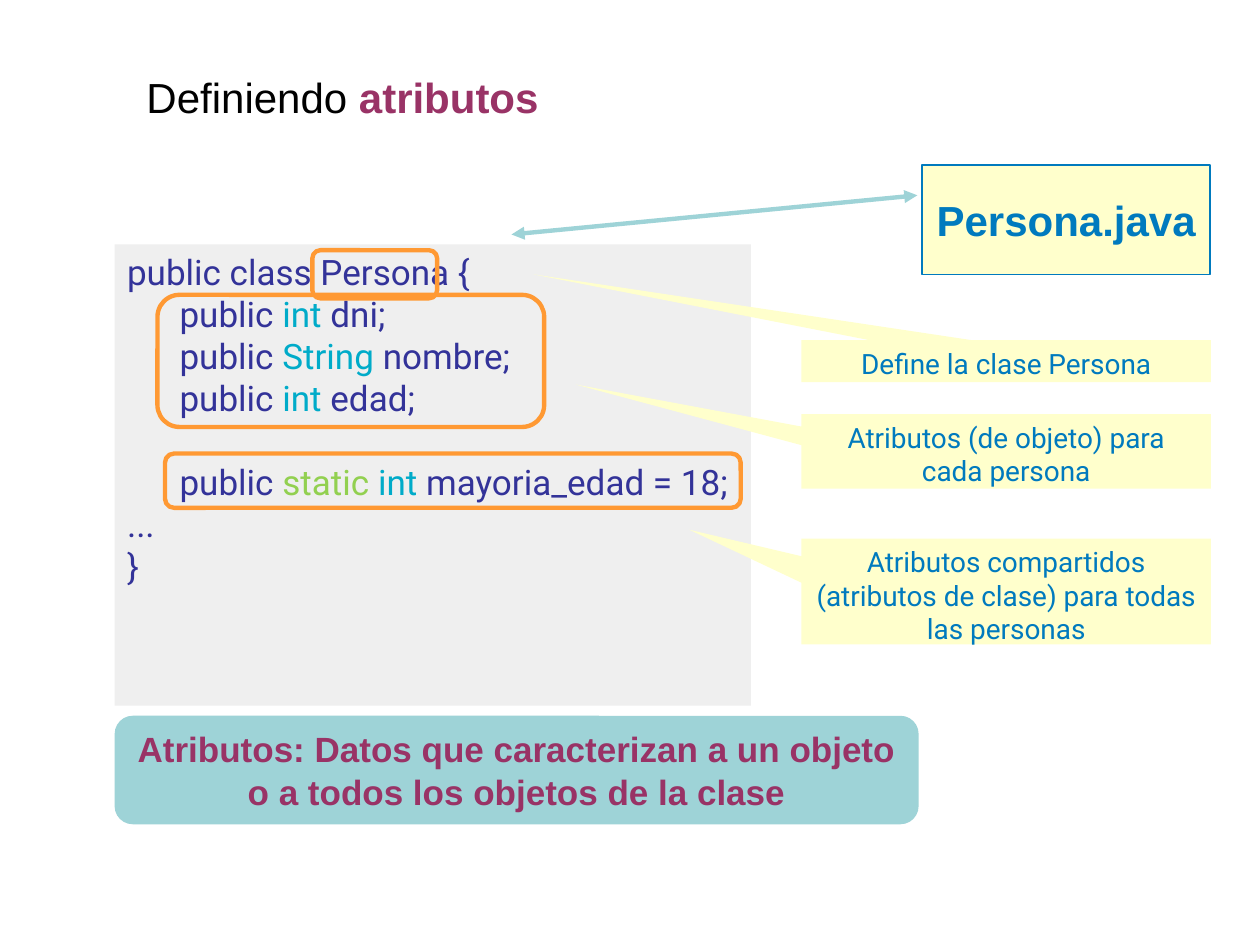
from dataclasses import dataclass

from lxml import etree
from pptx import Presentation
from pptx.dml.color import RGBColor
from pptx.enum.shapes import MSO_CONNECTOR, MSO_SHAPE
from pptx.enum.text import MSO_ANCHOR, MSO_AUTO_SIZE, PP_ALIGN
from pptx.oxml.ns import qn
from pptx.util import Pt

RECTANGLE = MSO_SHAPE.RECTANGLE
ROUNDED = MSO_SHAPE.ROUNDED_RECTANGLE
CALLOUT = MSO_SHAPE.RECTANGULAR_CALLOUT
STRAIGHT = MSO_CONNECTOR.STRAIGHT
TOP, MIDDLE = MSO_ANCHOR.TOP, MSO_ANCHOR.MIDDLE
LEFT, CENTER = PP_ALIGN.LEFT, PP_ALIGN.CENTER
NO_AUTOFIT = MSO_AUTO_SIZE.NONE
TITLE_ONLY = 5


@dataclass(frozen=True)
class Theme:
    heading_font: str = "Arial"
    body_font: str = "Roboto"
    black: str = "000000"
    plum: str = "993366"
    blue: str = "007ABE"
    navy: str = "333399"
    cyan: str = "00ABC9"
    green: str = "92D050"
    orange: str = "FF9933"
    cream: str = "FFFFCC"
    aqua: str = "9ED3D7"
    gray: str = "EAEAEA"
    title_size: int = 24
    code_size: int = 20
    note_size: int = 16
    thin: float = 1
    thick: float = 2.5


class SlideBuilder:
    def __init__(self, slide, theme):
        self.slide = slide
        self.theme = theme

    def add_run(self, paragraph, text, color, size, font, bold=False):
        run = paragraph.add_run()
        run.text = text
        run.font.name = font
        run.font.size = Pt(size)
        run.font.bold = bold
        run.font.color.rgb = RGBColor.from_string(color)

    def set_frame(self, shape, anchor, wrap=True):
        frame = shape.text_frame
        frame.auto_size = NO_AUTOFIT
        frame.word_wrap = wrap
        frame.vertical_anchor = anchor
        frame.margin_left = frame.margin_right = Pt(7.2)
        frame.margin_top = frame.margin_bottom = Pt(3.6)
        return frame

    def title(self, box, runs):
        shape = self.slide.shapes.title
        shape.left, shape.top, shape.width, shape.height = map(Pt, box)
        paragraph = self.set_frame(shape, MIDDLE).paragraphs[0]
        paragraph.alignment = LEFT
        for text, color, bold in runs:
            self.add_run(paragraph, text, color, self.theme.title_size,
                         self.theme.heading_font, bold)

    def box(self, kind, box, fill=None, line=None, width=1):
        shape = self.slide.shapes.add_shape(kind, *map(Pt, box))
        shape.shadow.inherit = False
        if fill:
            shape.fill.solid()
            shape.fill.fore_color.rgb = RGBColor.from_string(fill)
        else:
            shape.fill.background()
        if line:
            shape.line.color.rgb = RGBColor.from_string(line)
            shape.line.width = Pt(width)
        else:
            shape.line.fill.background()
        return shape

    def label(self, shape, text, color, size, font, bold=False, anchor=MIDDLE):
        paragraph = self.set_frame(shape, anchor).paragraphs[0]
        paragraph.alignment = CENTER
        self.add_run(paragraph, text, color, size, font, bold)

    def code(self, box, lines):
        shape = self.box(RECTANGLE, box, self.theme.gray)
        color = shape.fill._xPr.find(qn("a:solidFill"))[0]
        etree.SubElement(color, qn("a:alpha"), val="75000")
        frame = self.set_frame(shape, TOP, wrap=False)
        for index, (indent, space, runs) in enumerate(lines):
            paragraph = frame.add_paragraph() if index else frame.paragraphs[0]
            paragraph.alignment = LEFT
            paragraph.space_before = Pt(space)
            properties = paragraph._p.get_or_add_pPr()
            properties.set("marL", str(Pt(indent)))
            properties.set("indent", "0")
            for text, run_color in runs:
                self.add_run(paragraph, text, run_color, self.theme.code_size,
                             self.theme.body_font)

    def callout(self, top, height, tip, text):
        shape = self.box(CALLOUT, (458, top, 234, height), self.theme.cream)
        shape.adjustments[0], shape.adjustments[1] = tip
        self.label(shape, text, self.theme.blue, self.theme.note_size,
                   self.theme.body_font, anchor=TOP)

    def double_arrow(self, start, end):
        arrow = self.slide.shapes.add_connector(STRAIGHT, *map(Pt, start + end))
        arrow.line.color.rgb = RGBColor.from_string(self.theme.aqua)
        arrow.line.width = Pt(self.theme.thick)
        outline = arrow.line._get_or_add_ln()
        for end_name in ("a:headEnd", "a:tailEnd"):
            etree.SubElement(outline, qn(end_name), type="triangle")
        etree.SubElement(arrow._element.spPr, qn("a:effectLst"))


theme = Theme()
presentation = Presentation()
presentation.slide_width, presentation.slide_height = Pt(720), Pt(540)
slide = presentation.slides.add_slide(presentation.slide_layouts[TITLE_ONLY])
builder = SlideBuilder(slide, theme)

# Title
builder.title((76.5, 37.5, 476, 36), [("Definiendo ", theme.black, False),
                                      ("atributos", theme.plum, True)])

# Class listing: indent, space before, coloured runs
INDENT, BLANK_LINE = 30, 24
public = ("public ", theme.navy)
integer = ("int ", theme.cyan)
builder.code((65.5, 139.7, 363.6, 263.5), [
    (0, 0, [("public class Persona {", theme.navy)]),
    (INDENT, 0, [public, integer, ("dni;", theme.navy)]),
    (INDENT, 0, [public, ("String", theme.cyan), (" nombre;", theme.navy)]),
    (INDENT, 0, [public, integer, ("edad;", theme.navy)]),
    (INDENT, BLANK_LINE, [public, ("static ", theme.green), integer,
                          ("mayoria_edad = 18;", theme.navy)]),
    (0, 0, [("...", theme.navy)]),
    (0, 0, [("}", theme.navy)]),
])

# Explanations
for top, height, tip, text in (
    (194.4, 24, (-1.155, -2.068), "Define la clase Persona"),
    (236.7, 42.5, (-1.051, -0.899), "Atributos (de objeto) para cada persona"),
    (307.8, 60.5, (-0.774, -0.584),
     "Atributos compartidos (atributos de clase) para todas las personas"),
):
    builder.callout(top, height, tip, text)

# Frames around the explained code
for frame_box in ((178.5, 143, 71.3, 27.5), (90, 168.5, 221, 75.5),
                  (94.3, 259.2, 329, 31)):
    builder.box(ROUNDED, frame_box, line=theme.orange, width=theme.thick)

# File name and its arrow
file_box = builder.box(RECTANGLE, (527, 94.3, 164.5, 62.5), theme.cream,
                       theme.blue, theme.thin)
builder.label(file_box, "Persona.java", theme.blue, theme.title_size,
              theme.heading_font, bold=True)
builder.double_arrow((292.3, 134), (524.2, 111.6))

# Definition
definition = builder.box(ROUNDED, (65.5, 409, 459.4, 62), theme.aqua)
builder.label(definition, "Atributos: Datos que caracterizan a un objeto "
              "o a todos los objetos de la clase", theme.plum,
              theme.code_size, theme.heading_font, bold=True)

presentation.save("out.pptx")
